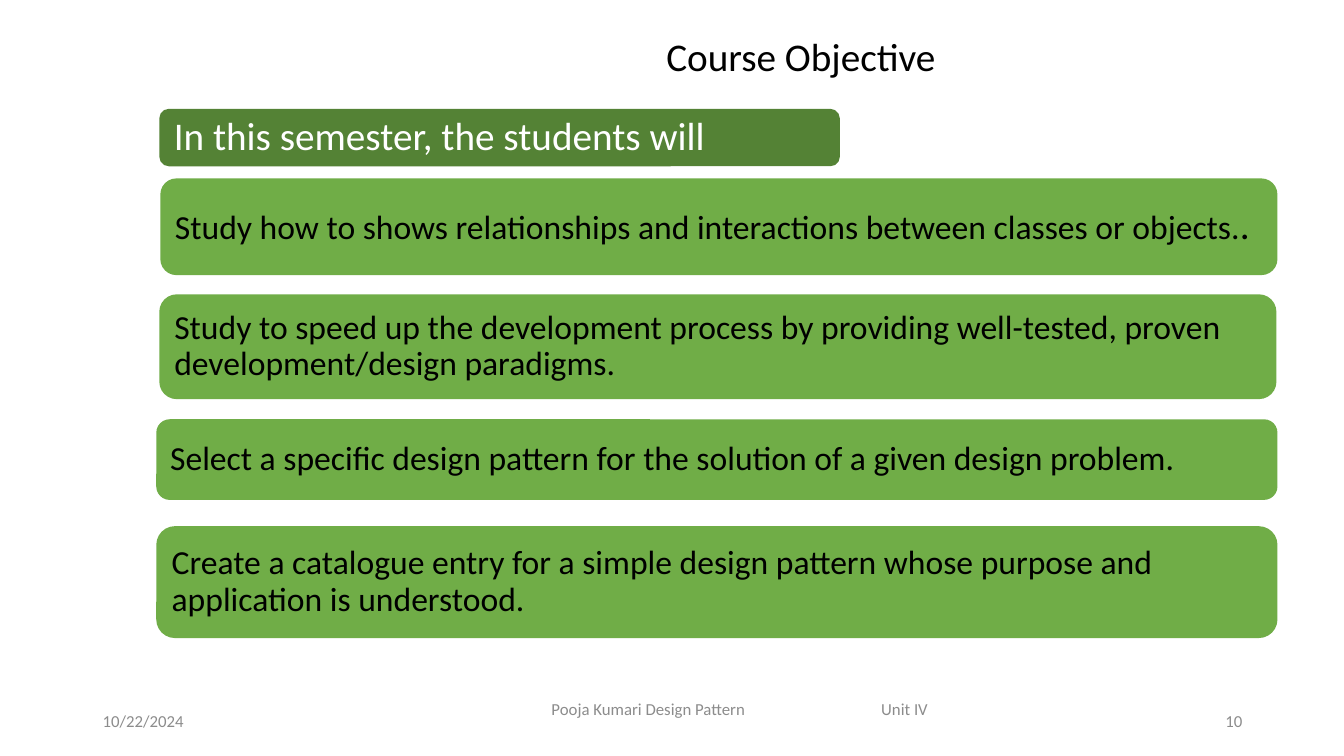
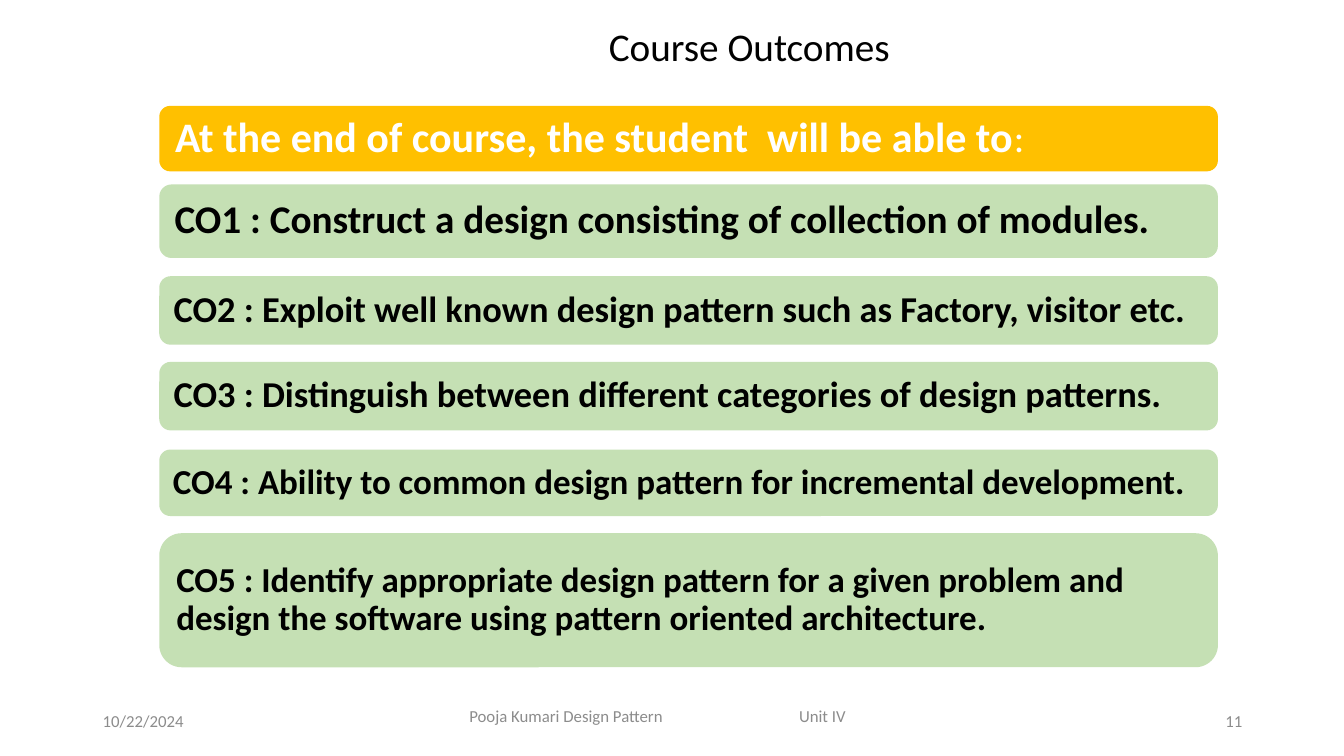
"""Build the course objective and course outcomes slides."""
from lxml.etree import SubElement
from pptx import Presentation
from pptx.dml.color import RGBColor
from pptx.enum.shapes import MSO_SHAPE as Shape
from pptx.enum.text import MSO_ANCHOR as Anchor, PP_ALIGN as Align
from pptx.oxml.ns import qn
from pptx.util import Inches, Pt

FONT = "Calibri"
COLORS = {
    "heading": "548235", "objective": "70AD47", "banner": "FFC000",
    "outcome": "C5E0B4", "dark": "000000", "light": "FFFFFF", "muted": "8C8C8C",
}
DATE = "10/22/2024"
FOOTER = "Pooja Kumari Design Pattern\tUnit IV"
FOOTER_TEXT_WIDTH, UNIT_TAB = 3.73, 3.27
SIDE_TOP, SIDE_WIDTH, FOOTER_HEIGHT = 6.95, 3, 0.4
DATE_LEFT, NUMBER_LEFT = 0.92, 9.42

# Each bar: position, fill, text colour, bold, then (text, size, bold) spans.
SLIDES = [
    {
        "title": "Course Objective", "title_at": (6.51, 0.27, 4.82, 0.57),
        "number": "10", "footer_at": (4.75, 6.83, 5.17, FOOTER_HEIGHT),
        "bars": [
            ((1.58, 1.08, 6.75, 0.57), "heading", "light",
             [("In this semester, the students will", 28, False)]),
            ((1.59, 1.77, 11.08, 0.96), "objective", "dark",
             [("Study how to shows relationships and interactions between "
               "classes or objects.", 24, False), (".", 28, False)]),
            ((1.58, 2.92, 11.08, 1.04), "objective", "dark",
             [("Study to speed up the development process by providing "
               "well-tested, proven development/design paradigms.", 24, False)]),
            ((1.55, 4.16, 11.12, 0.8), "objective", "dark",
             [("Select a specific design pattern for the solution of a given "
               "design problem.", 24, False)]),
            ((1.55, 5.22, 11.12, 1.11), "objective", "dark",
             [("Create a catalogue entry for a simple design pattern whose "
               "purpose and application is understood.", 24, False)]),
        ],
    },
    {
        "title": "Course Outcomes", "title_at": (5.94, 0.17, 4.61, 0.57),
        "number": "11", "footer_at": (4.27, 6.9, 4.5, FOOTER_HEIGHT),
        "bars": [
            ((1.58, 1.05, 10.5, 0.65), "banner", "light",
             [("At the end of course, the student  will be able to", 30, True),
              (":", 28, False)]),
            ((1.58, 1.83, 10.5, 0.73), "outcome", "dark",
             [("CO1 : Construct a design consisting of collection of modules.",
               28, True)]),
            ((1.58, 2.74, 10.5, 0.68), "outcome", "dark",
             [("CO2 : Exploit well known design pattern such as Factory, "
               "visitor etc.", 26, True)]),
            ((1.58, 3.59, 10.5, 0.68), "outcome", "dark",
             [("CO3 : Distinguish between different categories of design "
               "patterns.", 26, True)]),
            ((1.58, 4.46, 10.5, 0.66), "outcome", "dark",
             [("CO4 : Ability to common design pattern for incremental "
               "development.", 25, True)]),
            ((1.58, 5.29, 10.5, 1.33), "outcome", "dark",
             [("CO5 : Identify appropriate design pattern for a given problem "
               "and design the software using pattern oriented architecture.",
               25, True)]),
        ],
    },
]


def color(name):
    """Return the named palette colour."""
    return RGBColor.from_string(COLORS[name])


def write(box, spans, ink="dark", align=Align.LEFT, anchor=Anchor.MIDDLE,
          insets=(0.1, 0.05, 0.1, 0.05), spacing=None, tab=None):
    """Fill a box with one paragraph of (text, size, bold) spans."""
    frame = box.text_frame
    frame.word_wrap = True
    frame.vertical_anchor = anchor
    (frame.margin_left, frame.margin_top,
     frame.margin_right, frame.margin_bottom) = map(Inches, insets)
    para = frame.paragraphs[0]
    para.alignment = align
    if spacing:
        para.line_spacing = spacing
    if tab:
        tabs = SubElement(para._p.get_or_add_pPr(), qn("a:tabLst"))
        SubElement(tabs, qn("a:tab"), pos=str(Inches(tab)), algn="l")
    for text, size, bold in spans:
        span = para.add_run()
        span.text = text
        span.font.name, span.font.size, span.font.bold = FONT, Pt(size), bold
        span.font.color.rgb = color(ink)


def add_text(page, at, text, size, **style):
    """Add a text box with one plain span."""
    box = page.shapes.add_textbox(*map(Inches, at))
    write(box, [(text, size, False)], **style)


def add_bar(page, at, fill, ink, spans):
    """Add a rounded bar whose inset follows its text size."""
    bar = page.shapes.add_shape(Shape.ROUNDED_RECTANGLE, *map(Inches, at))
    bar.shadow.inherit = False
    bar.fill.solid()
    bar.fill.fore_color.rgb = color(fill)
    bar.line.fill.background()
    inset = spans[0][1] / 240
    write(bar, spans, ink=ink, insets=(inset,) * 4, spacing=0.9)


def add_footer(page, number, footer_at):
    """Add the date, the course line and the page number."""
    side = (SIDE_TOP, SIDE_WIDTH, FOOTER_HEIGHT)
    indent = (footer_at[2] - FOOTER_TEXT_WIDTH) / 2
    add_text(page, (DATE_LEFT, *side), DATE, 12, ink="muted")
    add_text(page, footer_at, FOOTER, 12, ink="muted", tab=UNIT_TAB,
             insets=(indent, 0.05, 0.1, 0.05))
    add_text(page, (NUMBER_LEFT, *side), number, 12, ink="muted",
             align=Align.RIGHT)


def main():
    """Build and save the deck."""
    deck = Presentation()
    deck.slide_width, deck.slide_height = Inches(13.33), Inches(7.5)
    for content in SLIDES:
        page = deck.slides.add_slide(deck.slide_layouts[6])
        add_footer(page, content["number"], content["footer_at"])
        for bar in content["bars"]:
            add_bar(page, *bar)
        add_text(page, content["title_at"], content["title"], 28,
                 anchor=Anchor.TOP)
    deck.save("out.pptx")


if __name__ == "__main__":
    main()
